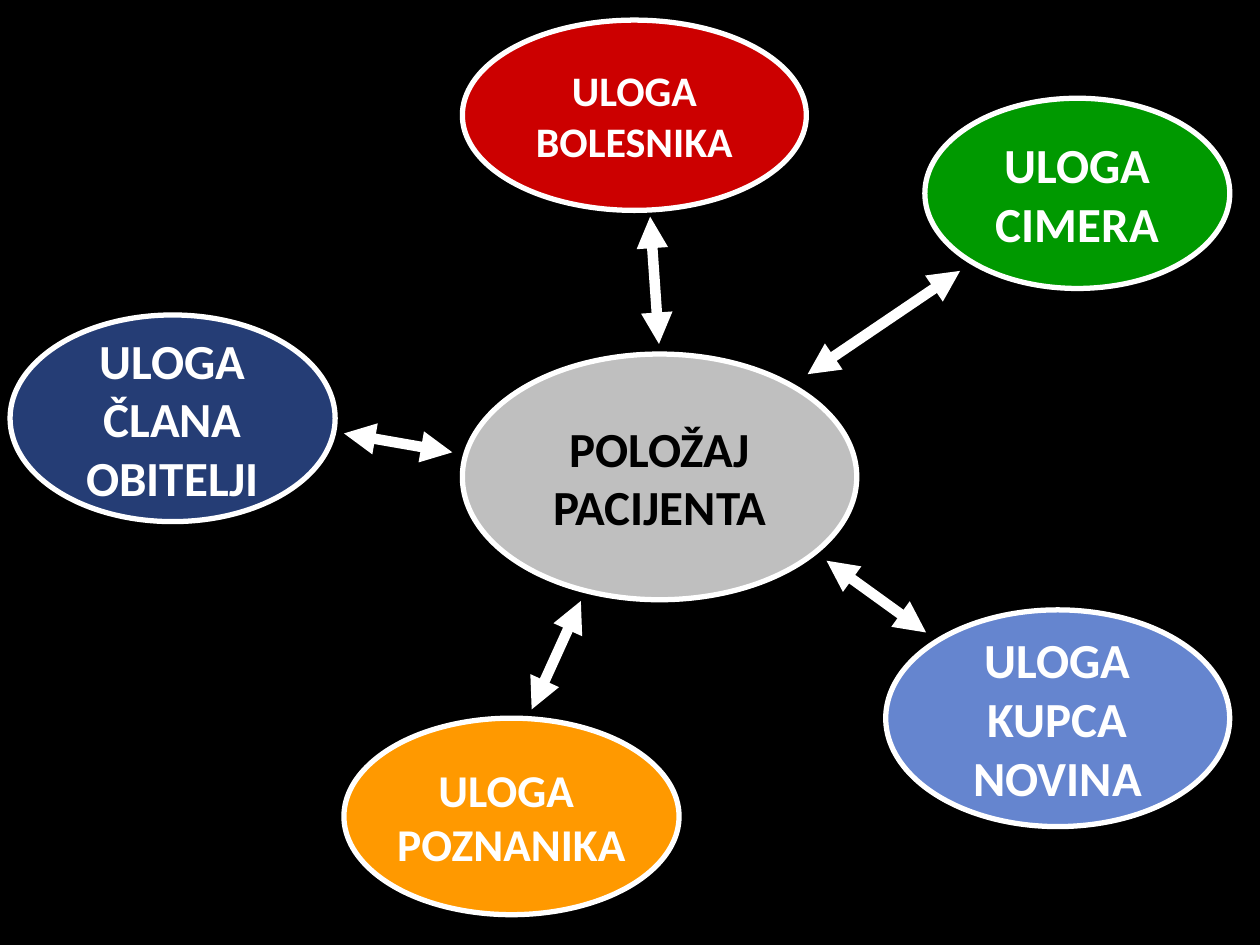
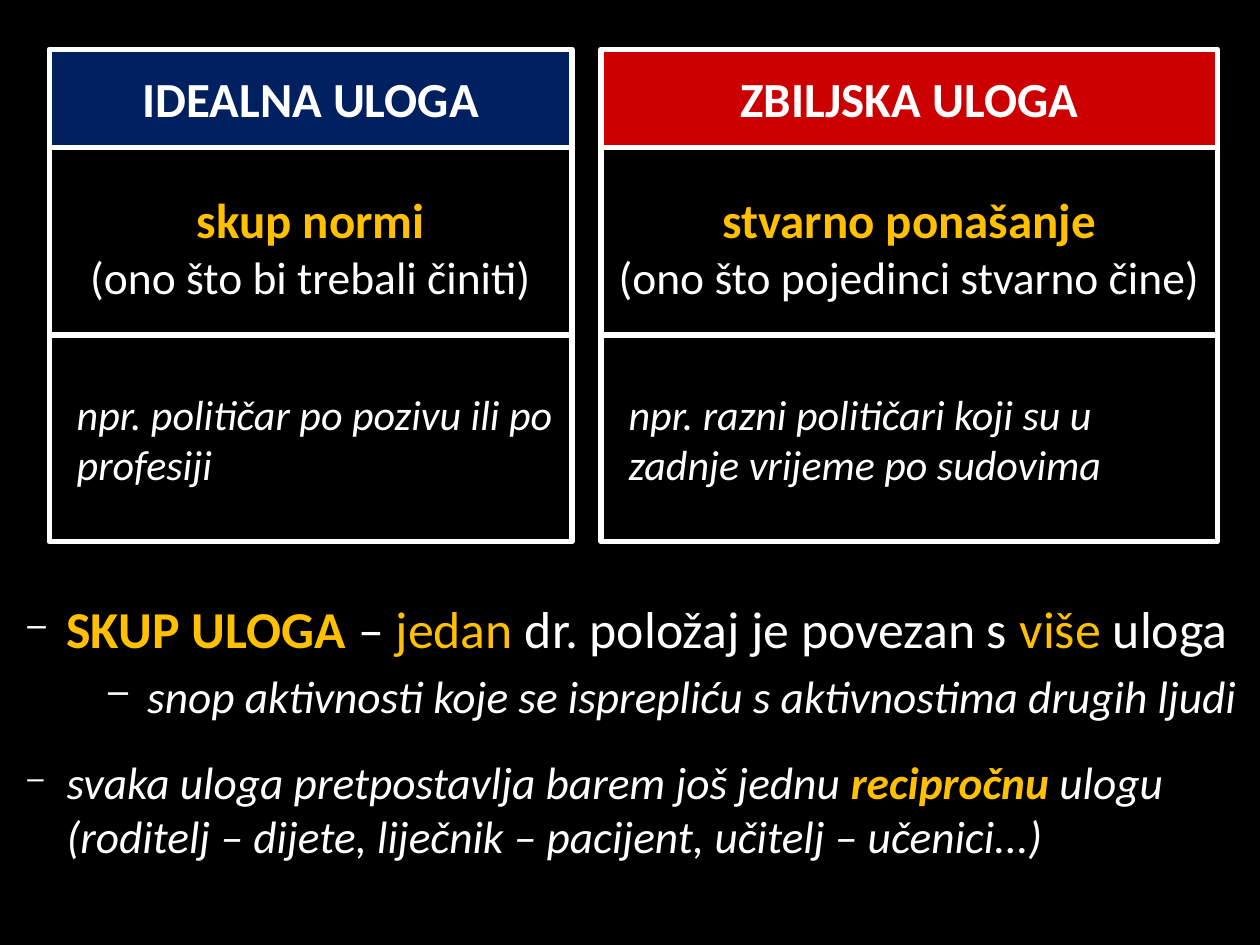
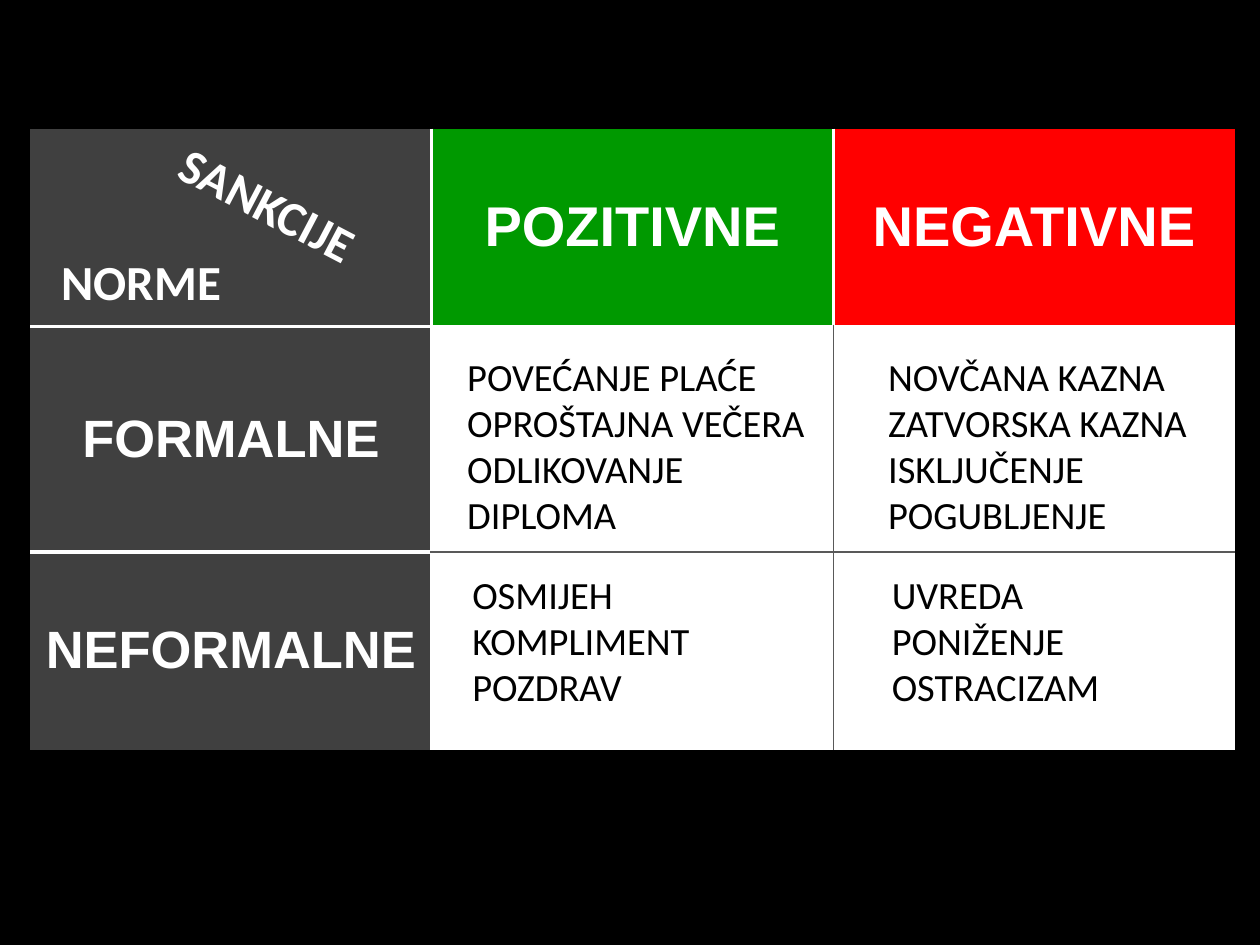
from dataclasses import dataclass

from lxml import etree
from pptx import Presentation
from pptx import util as u
from pptx.dml.color import RGBColor
from pptx.enum import shapes, text
from pptx.oxml import ns

In, Pt = u.Inches, u.Pt
CENTER, LEFT = text.PP_ALIGN.CENTER, text.PP_ALIGN.LEFT
MIDDLE = text.MSO_ANCHOR.MIDDLE


@dataclass(frozen=True)
class Theme:
    font: str = "Calibri"
    table_font: str = "Arial"
    black: str = "000000"
    white: str = "FFFFFF"
    gold: str = "FFC000"
    red: str = "CC0000"
    bright_red: str = "FF0000"
    green: str = "009900"
    orange: str = "FF9900"
    blue: str = "253D75"
    light_blue: str = "6585CF"
    navy: str = "002060"
    gray: str = "BFBFBF"
    dark: str = "404040"
    rule: str = "595959"
    label: float = 28
    medium: float = 26
    small: float = 24
    item: float = 22
    bullet: float = 29.6
    sub_bullet: float = 25.9
    col_head: float = 32
    row_head: float = 30
    outline: float = 3
    arrow: float = 6


T = Theme()


def rgb(color):
    return RGBColor.from_string(color)


def sub(parent, tag, **attrs):
    """Append a DrawingML element."""
    return etree.SubElement(parent, ns.qn("a:" + tag), attrs)


def run(p, value, size=T.label, color=T.white, bold=False, italic=False, font=T.font):
    r = p.add_run()
    r.text = value
    f = r.font
    f.name, f.size, f.bold, f.italic = font, Pt(size), bold, italic
    f.color.rgb = rgb(color)


def write(tf, paragraphs, align=LEFT):
    """Fill a frame; each paragraph is (list of (text, format), line spacing)."""
    for i, (runs, spacing) in enumerate(paragraphs):
        p = tf.paragraphs[0] if i == 0 else tf.add_paragraph()
        p.alignment = align
        if spacing:
            p.line_spacing = spacing
        for value, fmt in runs:
            run(p, value, **fmt)


def lines(values, **fmt):
    """Paragraphs of one run each, all in the same format."""
    return [([(value, fmt)], None) for value in values]


class Deck:
    def __init__(self):
        self.prs = Presentation()
        self.prs.slide_width, self.prs.slide_height = In(10), In(7.5)
        self.s = None

    def slide(self):
        self.s = self.prs.slides.add_slide(self.prs.slide_layouts[6])
        fill = self.s.background.fill
        fill.solid()
        fill.fore_color.rgb = rgb(T.black)

    def shape(self, kind, box, paragraphs, fill=None, align=CENTER, wrap=True):
        sp = self.s.shapes.add_shape(kind, *map(In, box))
        sp.shadow.inherit = False
        if fill:
            sp.fill.solid()
            sp.fill.fore_color.rgb = rgb(fill)
        else:
            sp.fill.background()
        sp.line.color.rgb = rgb(T.white)
        sp.line.width = Pt(T.outline)
        tf = sp.text_frame
        tf.word_wrap, tf.vertical_anchor = wrap, MIDDLE
        write(tf, paragraphs, align)
        return sp

    def arrow(self, start, end):
        c = self.s.shapes.add_connector(
            shapes.MSO_CONNECTOR.STRAIGHT, *map(In, start + end))
        c.line.color.rgb = rgb(T.white)
        c.line.width = Pt(T.arrow)
        ln = c.line._get_or_add_ln()
        sub(ln, "headEnd", type="triangle")
        sub(ln, "tailEnd", type="triangle")
        sub(c._element.spPr, "effectLst")

    def text(self, box, paragraphs=(), rotation=0):
        sp = self.s.shapes.add_textbox(*map(In, box))
        sp.rotation = rotation
        tf = sp.text_frame
        tf.word_wrap = True
        write(tf, paragraphs)
        return tf

    def bullet(self, p, runs, indent, hanging, before, scale):
        p.space_before = Pt(before)
        pPr = p._p.get_or_add_pPr()
        pPr.set("marL", str(In(indent)))
        pPr.set("indent", str(-In(hanging)))
        sub(sub(pPr, "buClr"), "srgbClr", val=T.white)
        sub(pPr, "buSzPct", val=str(scale * 1000))
        sub(pPr, "buChar", char="–")
        for value, fmt in runs:
            run(p, value, **fmt)

    def table(self, box, row_heights, cols):
        tbl = self.s.shapes.add_table(len(row_heights), cols, *map(In, box)).table
        for row, height in zip(tbl.rows, row_heights):
            row.height = In(height)
        return tbl

    def cell(self, cell, fill, borders, value=None, size=T.col_head):
        # Borders come before the fill: left, right, top, bottom
        tcPr = cell._tc.get_or_add_tcPr()
        for side, border in zip("LRTB", borders):
            if border is None:
                sub(sub(tcPr, "ln" + side, w="0"), "noFill")
                continue
            color, width = border
            ln = sub(tcPr, "ln" + side, w=str(Pt(width)))
            sub(sub(ln, "solidFill"), "srgbClr", val=color)
        cell.fill.solid()
        cell.fill.fore_color.rgb = rgb(fill)
        cell.vertical_anchor = MIDDLE
        cell.margin_left = cell.margin_right = In(0.11)
        if value:
            write(cell.text_frame,
                  lines([value], size=size, bold=True, font=T.table_font), CENTER)


deck = Deck()
OVAL, RECT = shapes.MSO_SHAPE.OVAL, shapes.MSO_SHAPE.RECTANGLE

# Slide 1: the patient's position and its roles
deck.slide()
for start, end in [
    ((2.73, 3.44), (3.59, 3.59)),
    ((4.22, 5.63), (4.61, 4.77)),
    ((7.35, 5.02), (6.56, 4.45)),
    ((5.16, 1.72), (5.23, 2.73)),
    ((7.62, 2.15), (6.41, 2.97)),
]:
    deck.arrow(start, end)

for box, fill, value, size, color in [
    ((0.08, 2.5, 2.58, 1.64), T.blue, "ULOGA ČLANA OBITELJI", T.label, T.white),
    ((3.67, 2.81, 3.13, 1.95), T.gray, "POLOŽAJ PACIJENTA", T.label, T.black),
    ((7.34, 0.78, 2.42, 1.51), T.green, "ULOGA CIMERA", T.label, T.white),
    ((3.67, 0.16, 2.73, 1.51), T.red, "ULOGA BOLESNIKA", T.small, T.white),
    ((7.03, 4.84, 2.73, 1.72), T.light_blue, "ULOGA KUPCA NOVINA", T.label, T.white),
]:
    deck.shape(OVAL, box, lines([value], size=size, color=color, bold=True), fill)
deck.shape(OVAL, (2.73, 5.7, 2.66, 1.56),
           lines(["ULOGA ", "POZNANIKA"], size=T.medium, bold=True),
           T.orange, wrap=False)

# Slide 2: ideal and actual role side by side
deck.slide()
TOP, HEAD_H, BODY_Y, BODY_H = 0.39, 0.78, 1.02, 1.64
for x, w, fill, title, key, meaning, example in [
    (0.39, 4.15, T.navy, "IDEALNA ULOGA", "skup normi",
     "(ono što bi trebali činiti)",
     "npr. političar po pozivu ili po profesiji"),
    (4.77, 4.89, T.red, "ZBILJSKA ULOGA", "stvarno ponašanje",
     "(ono što pojedinci stvarno čine)",
     "npr. razni političari koji su u zadnje vrijeme po sudovima"),
]:
    deck.shape(RECT, (x, BODY_Y, w, BODY_H), [
        ([(key, dict(color=T.gold, bold=True))], 1.5),
        ([(meaning, dict(size=T.medium))], None),
    ])
    sp = deck.shape(RECT, (x, BODY_Y + BODY_H, w, BODY_H),
                    lines([example], size=T.small, italic=True), align=LEFT)
    sp.text_frame.paragraphs[0]._p.get_or_add_pPr().set("marL", str(In(0.12)))
    deck.shape(RECT, (x, TOP, w, HEAD_H), lines([title], bold=True), fill)

# Role set bullets
main = dict(size=T.bullet)
gold = dict(main, color=T.gold)
note = dict(size=T.sub_bullet, italic=True)
tf = deck.text((0.12, 4.69, 10, 2.66))
deck.bullet(tf.paragraphs[0], [
    ("SKUP ULOGA ", dict(gold, bold=True)),
    ("– ", main),
    ("jedan", gold),
    (" dr. položaj je povezan s ", main),
    ("više", gold),
    (" uloga", main),
], 0.31, 0.35, 6, 65)
p = tf.add_paragraph()
p.level = 1
deck.bullet(p, [
    ("snop aktivnosti koje se isprepliću s aktivnostima drugih ljudi", note),
], 0.95, 0.31, 5, 80)
deck.bullet(tf.add_paragraph(), [
    ("svaka uloga pretpostavlja barem još jednu ", note),
    ("recipročnu ", dict(note, color=T.gold, bold=True)),
    ("ulogu (roditelj – dijete, liječnik – pacijent, učitelj – učenici...)", note),
], 0.31, 0.35, 18, 65)

# Slide 3: sanctions by kind of norm
deck.slide()
HEADS = [
    [(T.dark, None), (T.green, "POZITIVNE"), (T.bright_red, "NEGATIVNE")],
    [(T.dark, "FORMALNE"), (T.white, None), (T.white, None)],
    [(T.dark, "NEFORMALNE"), (T.white, None), (T.white, None)],
]
THICK, THIN = (T.white, 2.25), (T.rule, 1)
tbl = deck.table((0.24, 1.02, 9.56, 4.92), (1.57, 1.79, 1.57), 3)


def edge(index, crossing):
    """Border before row or column `index`: none outside, thick by the heads."""
    if index in (0, 3):
        return None
    return THICK if index == 1 or crossing == 0 else THIN


for i, row in enumerate(HEADS):
    for j, (fill, value) in enumerate(row):
        borders = edge(j, i), edge(j + 1, i), edge(i, j), edge(i + 1, j)
        deck.cell(tbl.cell(i, j), fill, borders, value,
                  T.row_head if i else T.col_head)
tbl.cell(2, 0).text_frame.paragraphs[0].space_before = Pt(12)

# Labels of the corner cell
deck.text((1.25, 1.47, 2.28, 0.57), lines(["SANKCIJE"], bold=True), rotation=27.7)
deck.text((0.39, 1.95, 1.83, 0.57), lines(["NORME"], bold=True))

# Examples over the white cells
for box, items in [
    ((3.61, 2.75, 3.31, 1.58),
     ["POVEĆANJE PLAĆE", "OPROŠTAJNA VEČERA", "ODLIKOVANJE", "DIPLOMA"]),
    ((6.95, 2.75, 3.09, 1.58),
     ["NOVČANA KAZNA", "ZATVORSKA KAZNA", "ISKLJUČENJE", "POGUBLJENJE"]),
    ((3.65, 4.48, 2.49, 1.21), ["OSMIJEH", "KOMPLIMENT", "POZDRAV"]),
    ((6.98, 4.48, 2.44, 1.21), ["UVREDA", "PONIŽENJE", "OSTRACIZAM"]),
]:
    deck.text(box, lines(items, size=T.item, color=T.black))

deck.prs.save("out.pptx")
